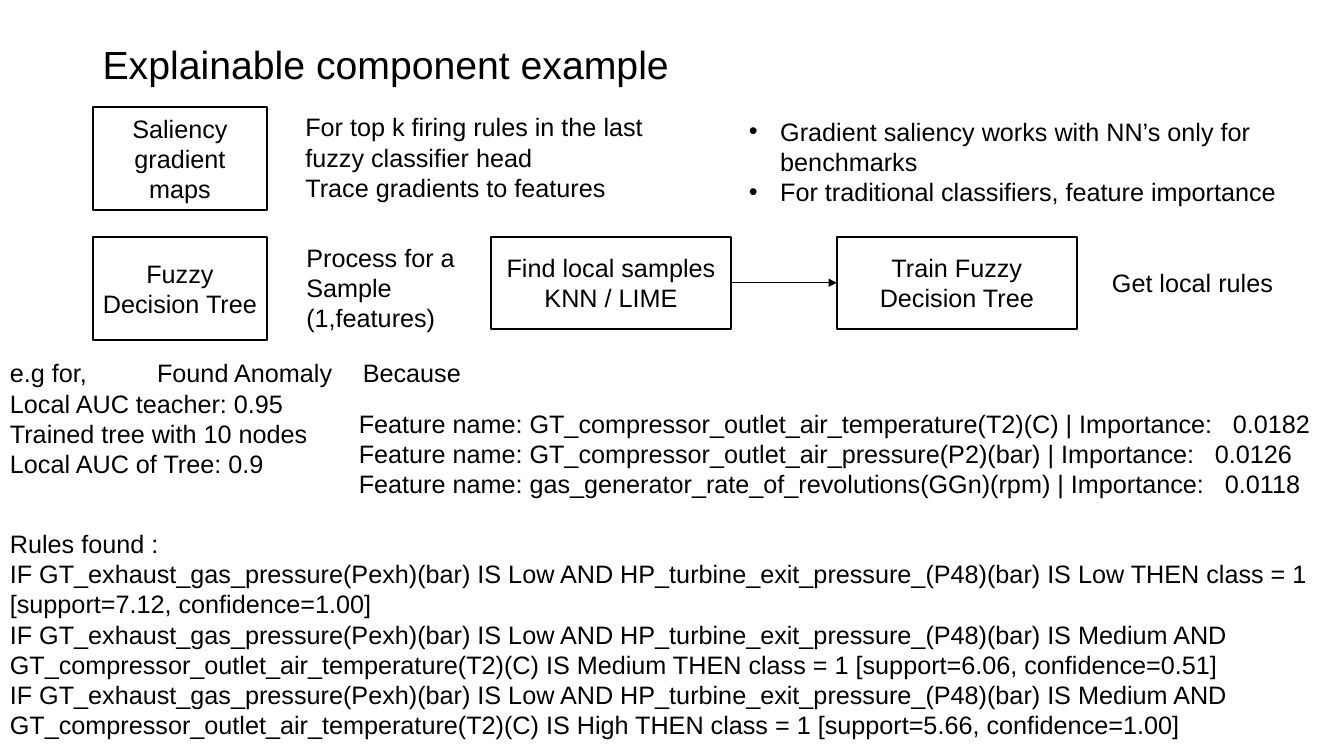
from lxml.etree import SubElement
from pptx import Presentation
from pptx.dml.color import RGBColor
from pptx.enum.shapes import MSO_CONNECTOR as Connector, MSO_SHAPE as Preset
from pptx.enum.text import MSO_ANCHOR as Anchor, MSO_AUTO_SIZE as AutoSize, PP_ALIGN as Align
from pptx.oxml.ns import qn
from pptx.util import Inches, Pt

COLORS = {"ink": "000000", "paper": "FFFFFF"}
FONT = "Arial"
BODY_SIZE = 18
TITLE = "Explainable component example"

LEFT, METHOD_WIDTH, METHOD_HEIGHT = 0.92, 1.73, 1.02
STEP_WIDTH, STEP_HEIGHT = 2.38, 0.91
SALIENCY_TOP, TREE_TOP, EXAMPLE_TOP = 1.06, 2.35, 3.5

METHODS = [
    (SALIENCY_TOP, ["Saliency gradient maps"]),
    (TREE_TOP, ["Fuzzy Decision Tree"]),
]
STEPS = [
    (4.87, ["Find local samples", "KNN / LIME"]),
    (8.3, ["Train Fuzzy Decision Tree"]),
]
NOTES = [
    ((2.93, SALIENCY_TOP, 4.11, 1.01), [
        "For top k firing rules in the last fuzzy classifier head",
        "Trace gradients to features",
    ]),
    ((2.94, TREE_TOP, METHOD_WIDTH, 1.01), ["Process for a", "Sample", "(1,features)"]),
    ((10.93, 2.6, 1.98, 0.4), ["Get local rules"]),
    ((3.5, EXAMPLE_TOP, 4.11, 0.4), ["Because"]),
]
LIMITS = ((7.33, 1.1, 5.69, 1.01), [
    "Gradient saliency works with NN’s only for benchmarks",
    "For traditional classifiers, feature importance",
])
ANOMALY = ((0, EXAMPLE_TOP, 3.52, 1.3), [
    "e.g for,\tFound Anomaly",
    "Local AUC teacher: 0.95",
    "Trained tree with 10 nodes",
    "Local AUC of Tree: 0.9",
], [1.46])
FEATURES = ((3.46, 4, 9.79, 0.94), [
    "Feature name: GT_compressor_outlet_air_temperature(T2)(C) | Importance:\t0.0182",
    "Feature name: GT_compressor_outlet_air_pressure(P2)(bar) | Importance:\t0.0126",
    "Feature name: gas_generator_rate_of_revolutions(GGn)(rpm) | Importance:\t0.0118",
], [8.67, 8.49, 8.59])
RULES = ((0, 5.19, 13.07, 2.06), [
    "Rules found :",
    "IF GT_exhaust_gas_pressure(Pexh)(bar) IS Low AND HP_turbine_exit_pressure_(P48)(bar) IS Low "
    "THEN class = 1 [support=7.12, confidence=1.00]",
    "IF GT_exhaust_gas_pressure(Pexh)(bar) IS Low AND HP_turbine_exit_pressure_(P48)(bar) IS Medium "
    "AND GT_compressor_outlet_air_temperature(T2)(C) IS Medium "
    "THEN class = 1 [support=6.06, confidence=0.51]",
    "IF GT_exhaust_gas_pressure(Pexh)(bar) IS Low AND HP_turbine_exit_pressure_(P48)(bar) IS Medium "
    "AND GT_compressor_outlet_air_temperature(T2)(C) IS High "
    "THEN class = 1 [support=5.66, confidence=1.00]",
])


def color(name):
    return RGBColor.from_string(COLORS[name])


def write(shape, lines, size=BODY_SIZE, align=Align.LEFT):
    frame = shape.text_frame
    frame.word_wrap = True
    for index, line in enumerate(lines):
        paragraph = frame.add_paragraph() if index else frame.paragraphs[0]
        paragraph.alignment = align
        run = paragraph.add_run()
        run.text = line
        run.font.size = Pt(size)
        run.font.name = FONT
        run.font.color.rgb = color("ink")
    return frame


def add_text(slide, place, lines, size=BODY_SIZE):
    box = slide.shapes.add_textbox(*map(Inches, place))
    frame = write(box, lines, size)
    frame.auto_size = AutoSize.SHAPE_TO_FIT_TEXT
    return frame


def add_box(slide, place, lines):
    box = slide.shapes.add_shape(Preset.RECTANGLE, *map(Inches, place))
    box.shadow.inherit = False
    box.fill.solid()
    box.fill.fore_color.rgb = color("paper")
    box.line.color.rgb = color("ink")
    box.line.width = Pt(1.5)
    write(box, lines, align=Align.CENTER).vertical_anchor = Anchor.MIDDLE
    return box


def add_bullets(frame):
    for paragraph in frame.paragraphs:
        properties = paragraph._p.get_or_add_pPr()
        properties.set("marL", str(Inches(0.31)))
        properties.set("indent", str(-Inches(0.31)))
        SubElement(properties, qn("a:buFont"), typeface=FONT)
        SubElement(properties, qn("a:buChar"), char="•")


def add_tabs(frame, stops):
    for paragraph, stop in zip(frame.paragraphs, stops):
        tabs = SubElement(paragraph._p.get_or_add_pPr(), qn("a:tabLst"))
        SubElement(tabs, qn("a:tab"), pos=str(Inches(stop)), algn="l")


def add_arrow(slide, start, end):
    arrow = slide.shapes.add_connector(Connector.STRAIGHT, 0, 0, 0, 0)
    arrow.begin_connect(start, 3)
    arrow.end_connect(end, 1)
    arrow.line.color.rgb = color("ink")
    arrow.line.width = Pt(0.75)
    SubElement(arrow.line._get_or_add_ln(), qn("a:tailEnd"), type="triangle")
    SubElement(arrow._element.spPr, qn("a:effectLst"))


def main():
    presentation = Presentation()
    presentation.slide_width = Inches(13.33)
    presentation.slide_height = Inches(7.5)
    slide = presentation.slides.add_slide(presentation.slide_layouts[6])

    title = add_text(slide, (LEFT, 0.4, 11.5, 0.64), [TITLE], size=28)
    title.auto_size = AutoSize.NONE
    title.paragraphs[0].line_spacing = 0.9

    for top, lines in METHODS:
        add_box(slide, (LEFT, top, METHOD_WIDTH, METHOD_HEIGHT), lines)
    steps = [add_box(slide, (left, TREE_TOP, STEP_WIDTH, STEP_HEIGHT), lines) for left, lines in STEPS]
    add_arrow(slide, *steps)

    for place, lines in NOTES + [RULES]:
        add_text(slide, place, lines)
    add_bullets(add_text(slide, *LIMITS))
    for place, lines, stops in (ANOMALY, FEATURES):
        add_tabs(add_text(slide, place, lines), stops)

    presentation.save("out.pptx")


if __name__ == "__main__":
    main()
